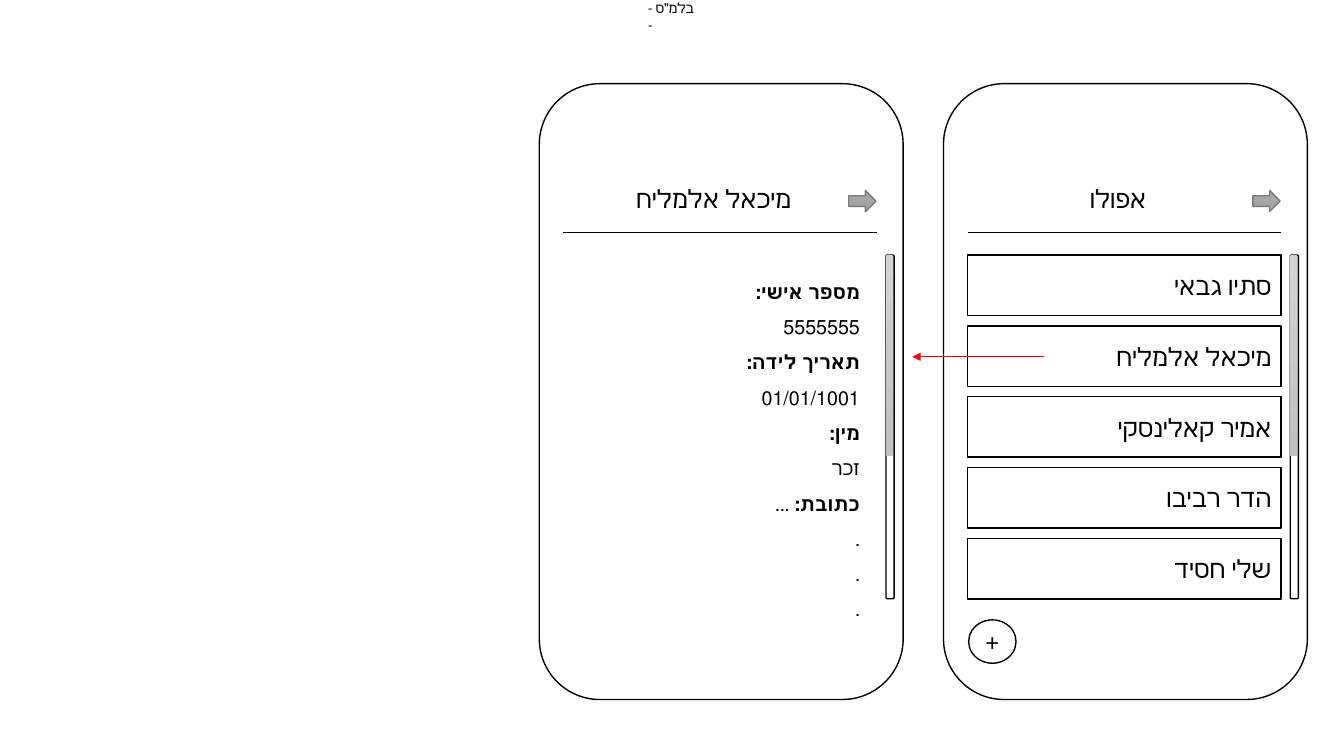
from dataclasses import dataclass

from lxml import etree
from pptx import Presentation
from pptx.dml.color import RGBColor
from pptx.enum.shapes import MSO_CONNECTOR, MSO_SHAPE as Shape
from pptx.enum.text import MSO_ANCHOR as Anchor, MSO_AUTO_SIZE as AutoSize, PP_ALIGN as Align
from pptx.oxml.ns import qn
from pptx.util import Inches, Pt

# The slide is a grid of square cells, ten to the inch
COLUMNS, ROWS = 133.33, 75
FONT = "Calibri"
BLACK, WHITE, RED = "000000", "FFFFFF", "FF0000"
GREY, DARK_GREY = "A5A5A5", "7A7A7A"
THUMB_TOP, THUMB_BOTTOM = "D2D2D2", "C0C0C0"

MEMBERS = ["סתיו גבאי", "מיכאל אלמליח", "אמיר קאלינסקי", "הדר רביבו", "שלי חסיד"]
# Each line is a list of (text, bold) runs
DETAILS = [
    [("מספר אישי:", True)],
    [("5555555", False)],
    [("תאריך לידה:", True)],
    [("01/01/1001", False)],
    [("מין:", True)],
    [("זכר", False)],
    [("כתובת: ", True), ("...", False)],
    [(".", False)],
    [(".", False)],
    [(".", False)],
]


@dataclass
class Box:
    left: float
    top: float
    width: float
    height: float

    def inner(self, left, top, width, height):
        return Box(self.left + left, self.top + top, width, height)

    def lengths(self):
        return [cells(n) for n in (self.left, self.top, self.width, self.height)]


def cells(count):
    return Inches(count / 10)


def color(hex_string):
    return RGBColor.from_string(hex_string)


def style_paragraph(paragraph, size, align, rtl=False):
    paragraph.alignment = align
    if rtl:
        paragraph._p.get_or_add_pPr().set("rtl", "1")
    paragraph.font.size = Pt(size)
    paragraph.font.name = FONT
    paragraph.font.color.rgb = color(BLACK)


def add_box(slide, kind, box, fill=WHITE, line=BLACK):
    shape = slide.shapes.add_shape(kind, *box.lengths())
    shape.shadow.inherit = False
    shape.fill.solid()
    shape.fill.fore_color.rgb = color(fill)
    if line:
        shape.line.color.rgb = color(line)
        shape.line.width = Pt(1)
    else:
        shape.line.fill.background()
    return shape


def add_label_box(slide, kind, box, text, align):
    shape = add_box(slide, kind, box)
    frame = shape.text_frame
    frame.vertical_anchor = Anchor.MIDDLE
    frame.text = text
    style_paragraph(frame.paragraphs[0], 18, align)


def add_text_frame(slide, box):
    frame = slide.shapes.add_textbox(*box.lengths()).text_frame
    frame.word_wrap = True
    frame.auto_size = AutoSize.SHAPE_TO_FIT_TEXT
    return frame


def add_line(slide, left, top, right, line_color, arrow=False):
    line = slide.shapes.add_connector(
        MSO_CONNECTOR.STRAIGHT, cells(left), cells(top), cells(right), cells(top))
    line.line.color.rgb = color(line_color)
    line.line.width = Pt(0.5)
    properties = line._element.spPr
    if arrow:
        etree.SubElement(properties.find(qn("a:ln")), qn("a:tailEnd"), type="triangle")
    etree.SubElement(properties, qn("a:effectLst"))


def add_classification(slide, box):
    frame = add_text_frame(slide, box)
    frame.margin_left = frame.margin_right = frame.margin_top = frame.margin_bottom = 0
    frame.text = '- בלמ"ס -'
    style_paragraph(frame.paragraphs[0], 10, Align.LEFT)


def add_scrollbar(slide, box):
    add_box(slide, Shape.ROUNDED_RECTANGLE, box)
    thumb = add_box(slide, Shape.ROUNDED_RECTANGLE, box.inner(0, 0, 0.7, 19.9), line=None)
    thumb.fill.gradient()
    thumb.fill.gradient_angle = 270
    for stop, stop_color in zip(thumb.fill.gradient_stops, (THUMB_TOP, THUMB_BOTTOM)):
        stop.color.rgb = color(stop_color)


def add_phone(slide, phone, title):
    """Draw the frame, header and scrollbar; return the content area."""
    add_box(slide, Shape.ROUNDED_RECTANGLE, phone)
    content = phone.inner(2.4, 17, 31.1, 34.1)

    # Header: title, back arrow and rule
    frame = add_text_frame(slide, phone.inner(1.8, 9.4, 31, 4))
    frame.text = title
    style_paragraph(frame.paragraphs[0], 18, Align.CENTER, rtl=True)
    add_box(slide, Shape.RIGHT_ARROW, phone.inner(30.7, 10.6, 2.7, 2.1), GREY, DARK_GREY)
    add_line(slide, content.left, phone.top + 14.8, content.left + content.width, BLACK)

    add_scrollbar(slide, phone.inner(34.4, 17, 0.8, 34.1))
    return content


def add_details_screen(slide, phone):
    content = add_phone(slide, phone, "מיכאל אלמליח")
    add_box(slide, Shape.RECTANGLE, content, line=None)
    frame = add_text_frame(slide, content.inner(0.8, 0.8, 29.6, 36))
    for index, runs in enumerate(DETAILS):
        paragraph = frame.add_paragraph() if index else frame.paragraphs[0]
        for text, bold in runs:
            run = paragraph.add_run()
            run.text = text
            run.font.bold = bold
        paragraph.line_spacing = 1.5
        style_paragraph(paragraph, 14, Align.RIGHT, rtl=True)


def add_members_screen(slide, phone):
    content = add_phone(slide, phone, "אפולו")
    for index, member in enumerate(MEMBERS):
        row = content.inner(0, 7.03 * index, content.width, 6)
        add_label_box(slide, Shape.RECTANGLE, row, member, Align.RIGHT)
    add_label_box(slide, Shape.OVAL, content.inner(0.1, 36.2, 4.7, 4.3), "+", Align.CENTER)


def main():
    presentation = Presentation()
    presentation.slide_width, presentation.slide_height = cells(COLUMNS), cells(ROWS)
    slide = presentation.slides.add_slide(presentation.slide_layouts[6])

    add_classification(slide, Box(64.3, 0, 5.1, 1.7))
    add_details_screen(slide, Box(53.5, 8.3, 36.1, 61.1))
    add_members_screen(slide, Box(93.6, 8.3, 36.1, 61.1))
    # Tapping a member opens the details
    add_line(slide, 103.6, 35.4, 90.5, RED, arrow=True)

    presentation.save("out.pptx")


if __name__ == "__main__":
    main()
